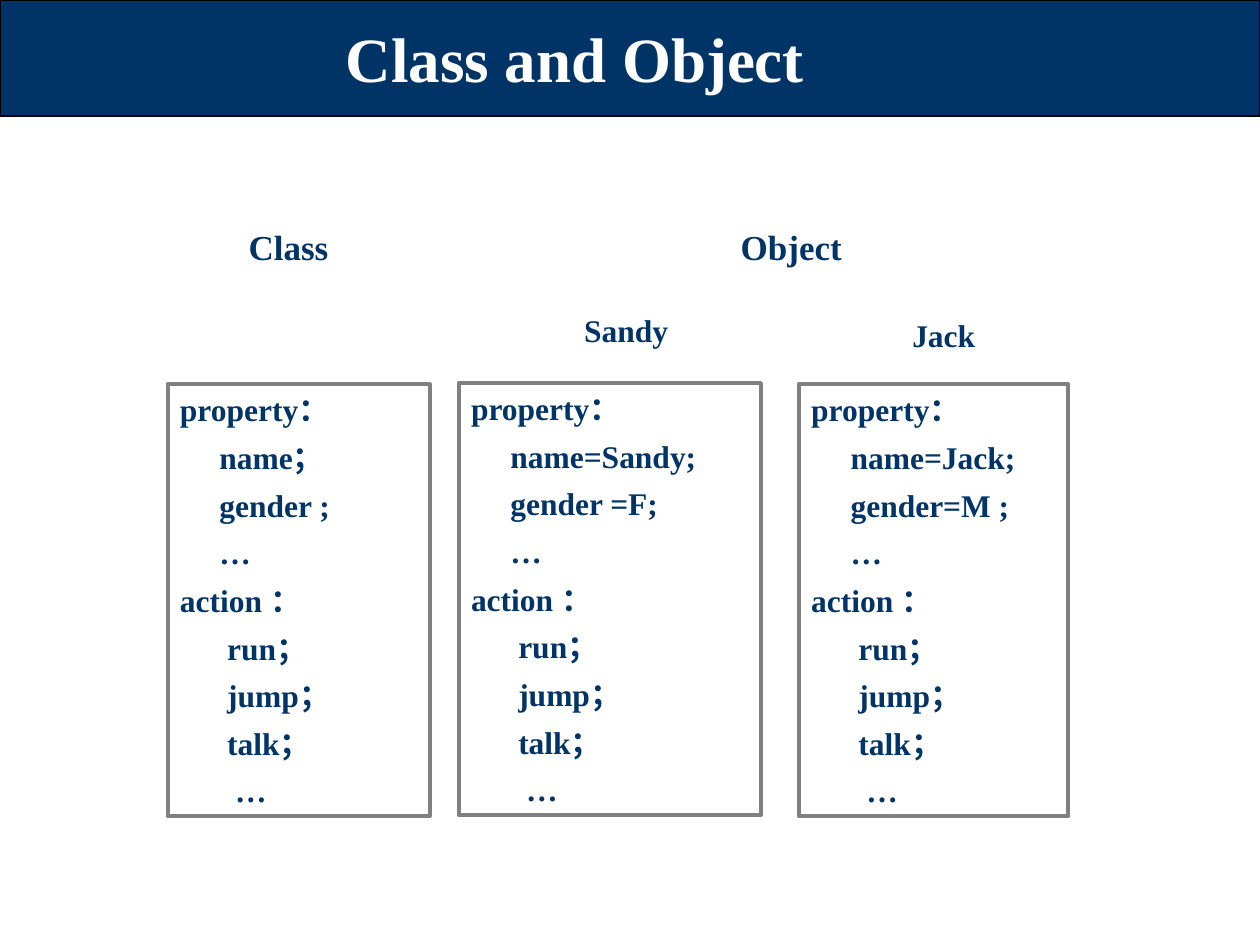
from collections import namedtuple
from dataclasses import dataclass

from pptx import Presentation
from pptx.dml.color import RGBColor
from pptx.enum.shapes import MSO_SHAPE
from pptx.enum.text import MSO_ANCHOR, PP_ALIGN
from pptx.util import Inches, Pt

Box = namedtuple("Box", "left top width height")
UNIT = Inches(0.1)


@dataclass(frozen=True)
class Theme:
    font: str = "Times New Roman"
    navy: str = "003366"
    white: str = "FFFFFF"
    black: str = "000000"
    gray: str = "808080"
    title: int = 36
    head: int = 20
    body: int = 18
    gap: float = 5.6
    thin: float = 0.75
    thick: float = 2.25


THEME = Theme()


def within(box, left, top, width, height):
    return Box(box.left + left, box.top + top, width, height)


def place(shape, box):
    shape.left, shape.top, shape.width, shape.height = (
        int(value * UNIT) for value in box
    )


def style(para, size, color, align):
    para.alignment = align
    for run in para.runs:
        font = run.font
        font.name, font.size, font.bold = THEME.font, Pt(size), True
        font.color.rgb = RGBColor.from_string(color)


def frame(slide, box, line, weight, fill=None):
    shape = slide.shapes.add_shape(MSO_SHAPE.RECTANGLE, 0, 0, 0, 0)
    place(shape, box)
    shape.shadow.inherit = False
    if fill:
        shape.fill.solid()
        shape.fill.fore_color.rgb = RGBColor.from_string(fill)
    else:
        shape.fill.background()
    shape.line.color.rgb = RGBColor.from_string(line)
    shape.line.width = Pt(weight)
    text = shape.text_frame
    text.word_wrap = True
    text.vertical_anchor = MSO_ANCHOR.TOP
    return shape


def header(slide, box, words):
    bar = frame(slide, box, THEME.black, THEME.thin, THEME.navy)
    title = slide.shapes.title
    title._element.addprevious(bar._element)
    place(title, within(box, 2.5, 0.8, 87.5, 7.5))
    text = title.text_frame
    text.text = words
    text.vertical_anchor = MSO_ANCHOR.MIDDLE
    style(text.paragraphs[0], THEME.title, THEME.white, PP_ALIGN.CENTER)


def label(slide, box, words, size):
    text = frame(slide, box, THEME.white, THEME.thick).text_frame
    text.text = words
    style(text.paragraphs[0], size, THEME.navy, PP_ALIGN.CENTER)


def card(slide, box, name, gender):
    rows = [
        (0, "property："), (5, name), (5, gender), (5, "…"),
        (0, "action ："), (6, "run；"), (6, "jump；"), (6, "talk；"), (7, "…"),
    ]
    text = frame(slide, box, THEME.gray, THEME.thick).text_frame
    text.text = "\n".join(words for _, words in rows)
    for index, (para, (step, _)) in enumerate(zip(text.paragraphs, rows)):
        props = para._p.get_or_add_pPr()
        props.set("marL", str(Pt(step * THEME.body / 4)))
        props.set("indent", "0")
        para.space_before = Pt(THEME.gap if index else 0)
        style(para, THEME.body, THEME.navy, PP_ALIGN.LEFT)


def board(slide, box):
    for left, words in ((0, "Class"), (39.9, "Object")):
        label(slide, within(box, left, 0, 30.2, 4.4), words, THEME.head)
    for left, top, words in ((26.8, 6.8, "Sandy"), (52, 7.2, "Jack")):
        label(slide, within(box, left, top, 30.2, 4), words, THEME.body)
    cards = (
        (5.5, 13.1, 20.8, "name；", "gender ;"),
        (28.6, 13, 24, "name=Sandy;", "gender =F;"),
        (55.6, 13.1, 21.4, "name=Jack;", "gender=M ;"),
    )
    for left, top, width, name, gender in cards:
        card(slide, within(box, left, top, width, 34.3), name, gender)


def main():
    deck = Presentation()
    deck.slide_width, deck.slide_height = Inches(10), Inches(7.5)
    slide = deck.slides.add_slide(deck.slide_layouts[5])
    header(slide, Box(0, 0, 100, 9.2), "Class and Object ")
    board(slide, Box(7.8, 17.4, 77, 47.4))
    deck.save("out.pptx")


if __name__ == "__main__":
    main()
